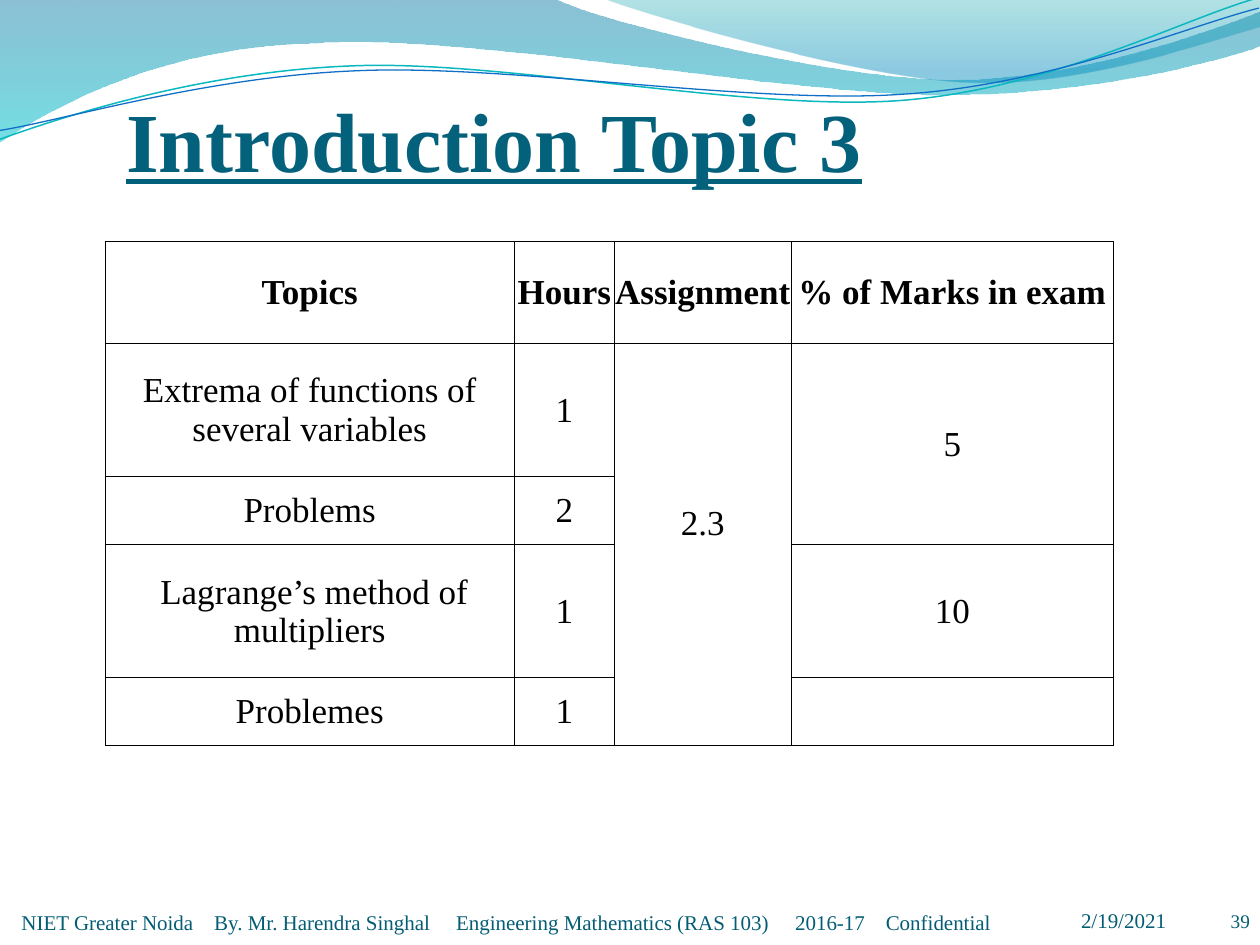
from lxml import etree
from pptx import Presentation
from pptx.dml.color import RGBColor
from pptx.enum.text import MSO_ANCHOR, PP_ALIGN
from pptx.oxml.ns import qn
from pptx.util import Inches, Pt

BOTTOM, MIDDLE = MSO_ANCHOR.BOTTOM, MSO_ANCHOR.MIDDLE
LEFT, CENTER, RIGHT = PP_ALIGN.LEFT, PP_ALIGN.CENTER, PP_ALIGN.RIGHT
FONT = "Times New Roman"
BLACK = RGBColor(0x00, 0x00, 0x00)
TITLE_TEAL = RGBColor(0x04, 0x61, 0x7B)
FOOTER_TEAL = RGBColor(0x04, 0x5D, 0x75)
SEA_BLUE, CYAN = RGBColor(0x00, 0x74, 0xA1), RGBColor(0x00, 0xC6, 0xCF)
SEA_GREEN, SKY_BLUE = RGBColor(0x00, 0xA1, 0xA9), RGBColor(0x00, 0x8B, 0xBF)
LINE_TEAL, LINE_BLUE = RGBColor(0x0A, 0xB8, 0xBF), RGBColor(0x0F, 0x6F, 0xC6)

prs = Presentation()
prs.slide_width, prs.slide_height = Inches(10), Inches(7.5)
slide = prs.slides.add_slide(prs.slide_layouts[5])


def draw_wave(start, segments, closed):
    """Draw a path whose segments hold one point (line) or three (Bézier curve)."""
    points = [(Inches(x), Inches(y)) for segment in segments for x, y in segment]
    builder = slide.shapes.build_freeform(Inches(start[0]), Inches(start[1]))
    builder.add_line_segments(points, close=closed)
    wave = builder.convert_to_shape()
    wave.shadow.inherit = False
    # Join the three points of each curve into one Bézier command
    corners = iter(list(wave.element.spPr.iter(qn("a:lnTo"))))
    for segment in segments:
        first, *others = [next(corners) for _ in segment]
        if others:
            curve = etree.Element(qn("a:cubicBezTo"))
            first.addprevious(curve)
            for corner in (first, *others):
                curve.append(corner[0])
                corner.getparent().remove(corner)
    return wave


def style(paragraph, size, color, align, bold=False):
    paragraph.alignment = align
    font = paragraph.font
    font.name, font.size, font.bold = FONT, Pt(size), bold
    font.color.rgb = color


# Filled waves: start, segments, gradient stops as (position, colour, opacity %)
filled_waves = [
    ((0, 0),
     [[(4.4, -0.01)],
      [(4.76, 0.17), (6.64, 0.63), (7.58, 0.63)],
      [(8.53, 0.63), (9.58, 0.26), (10, 0.09)],
      [(10.01, 0.36)],
      [(9.83, 0.44), (8.7, 0.76), (7.46, 0.75)],
      [(6.22, 0.75), (3.82, 0.28), (2.57, 0.34)],
      [(1.29, 0.36), (0.46, 0.83), (-0.01, 1.13)]],
     [(0, SEA_BLUE, 45), (1, CYAN, 55)]),
    ((4.79, -0.01),
     [[(5.09, 0.11), (6.82, 0.62), (7.69, 0.65)],
      [(8.56, 0.69), (9.61, 0.32), (10, 0.21)],
      [(10, 0)]],
     [(0, SEA_GREEN, 30), (0.8, SKY_BLUE, 45)]),
]
for start, segments, stops in filled_waves:
    wave = draw_wave(start, segments, True)
    wave.line.fill.background()
    wave.fill.gradient()
    wave.fill.gradient_angle = 270
    for stop, (position, color, _) in zip(wave.fill.gradient_stops, stops):
        stop.position = position
        stop.color.rgb = color
    for rgb, (_, _, opacity) in zip(wave.element.spPr.iter(qn("a:srgbClr")), stops):
        etree.SubElement(rgb, qn("a:alpha"), val=str(opacity * 1000))

# Thin wave lines, tilted as a whole
wave_lines = [
    ((-0.02, 0.87),
     [[(0.47, 0.72), (1.58, 0.41), (2.78, 0.42)],
      [(3.96, 0.42), (5.91, 0.93), (7.12, 0.9)],
      [(8.32, 0.87), (9.4, 0.36), (10, 0.22)]], LINE_TEAL, 0.85),
    ((-0.02, 0.8),
     [[(0.46, 0.75), (1.64, 0.45), (2.83, 0.46)],
      [(4.03, 0.46), (5.96, 0.88), (7.16, 0.85)],
      [(8.35, 0.83), (9.42, 0.42), (10.01, 0.3)]], LINE_BLUE, 0.75),
]
for start, segments, color, width in wave_lines:
    wave = draw_wave(start, segments, False)
    wave.rotation = 357.3
    wave.fill.background()
    wave.line.color.rgb, wave.line.width = color, Pt(width)

# Title, in front of the waves
title = slide.shapes.title
title.element.getparent().append(title.element)
title.left, title.top, title.width, title.height = (Inches(v) for v in (1, 0.25, 9.08, 1.25))
title.text = "Introduction Topic 3"
frame = title.text_frame
frame.vertical_anchor = BOTTOM
frame.margin_left = frame.margin_right = frame.margin_bottom = 0
style(frame.paragraphs[0], 48, TITLE_TEAL, LEFT, bold=True)
frame.paragraphs[0].font.underline = True

# Topic table
rows = [
    ("Topics", "Hours", "Assignment", "% of Marks in exam"),
    ("Extrema of functions of several variables", "1", "2.3", "5"),
    ("Problems", "2", "", ""),
    ("Lagrange’s method of multipliers", "1", "", "10"),
    ("Problemes", "1", "", ""),
]
column_widths = (3.25, 0.79, 1.41, 2.55)
row_shares = (0.81, 1.06, 0.54, 1.06, 0.54)
table_height = 4
topics = slide.shapes.add_table(len(rows), len(column_widths),
                                prs.slide_width // 12, Inches(23 / 12),
                                Inches(sum(column_widths)), Inches(table_height)).table
topics.first_row = topics.horz_banding = False
for column, width in zip(topics.columns, column_widths):
    column.width = Inches(width)
for row, share in zip(topics.rows, row_shares):
    row.height = Inches(table_height * share / sum(row_shares))
for r, texts in enumerate(rows):
    for c, text in enumerate(texts):
        cell = topics.cell(r, c)
        cell.text = text
        cell.vertical_anchor = MIDDLE
        cell.margin_left = cell.margin_right = cell.margin_bottom = 0
        cell.margin_top = Inches(0.01)
        style(cell.text_frame.paragraphs[0], 20, BLACK, CENTER, bold=r == 0)
        for side in ("lnL", "lnR", "lnT", "lnB"):
            border = etree.SubElement(cell._tc.tcPr, qn("a:" + side), w=str(Pt(0.5)))
            solid = etree.SubElement(border, qn("a:solidFill"))
            etree.SubElement(solid, qn("a:srgbClr"), val=str(BLACK))
        cell.fill.background()
topics.cell(1, 2).merge(topics.cell(4, 2))
topics.cell(1, 3).merge(topics.cell(2, 3))
topics.cell(1, 2).margin_bottom = Inches(0.34)
lagrange = topics.cell(3, 0).text_frame.paragraphs[0]
lagrange._p.get_or_add_pPr().set("indent", str(Inches(0.07)))

# Footer: left, top, width, text, size, alignment, tab stops
course = "\t".join(("NIET Greater Noida", "By. Mr. Harendra Singhal",
                    "Engineering Mathematics (RAS 103)", "2016-17", "Confidential"))
footers = [
    (8.58, 7, 0.83, "2/19/2021", 12, LEFT, ()),
    (9.5, 7, 0.42, "39", 11, RIGHT, ()),
    (0.17, 7.02, 8.25, course, 12, LEFT, (1.53, 3.45, 6.14, 6.86)),
]
for left, top, width, text, size, align, tab_stops in footers:
    footer = slide.shapes.add_textbox(Inches(left), Inches(top), Inches(width), Inches(0.4))
    frame = footer.text_frame
    frame.word_wrap, frame.vertical_anchor = True, BOTTOM
    frame.margin_left = frame.margin_right = frame.margin_top = frame.margin_bottom = 0
    frame.text = text
    paragraph = frame.paragraphs[0]
    if tab_stops:
        tabs = etree.SubElement(paragraph._p.get_or_add_pPr(), qn("a:tabLst"))
        for stop in tab_stops:
            etree.SubElement(tabs, qn("a:tab"), pos=str(Inches(stop)), algn="l")
    style(paragraph, size, FOOTER_TEAL, align)

prs.save("out.pptx")
